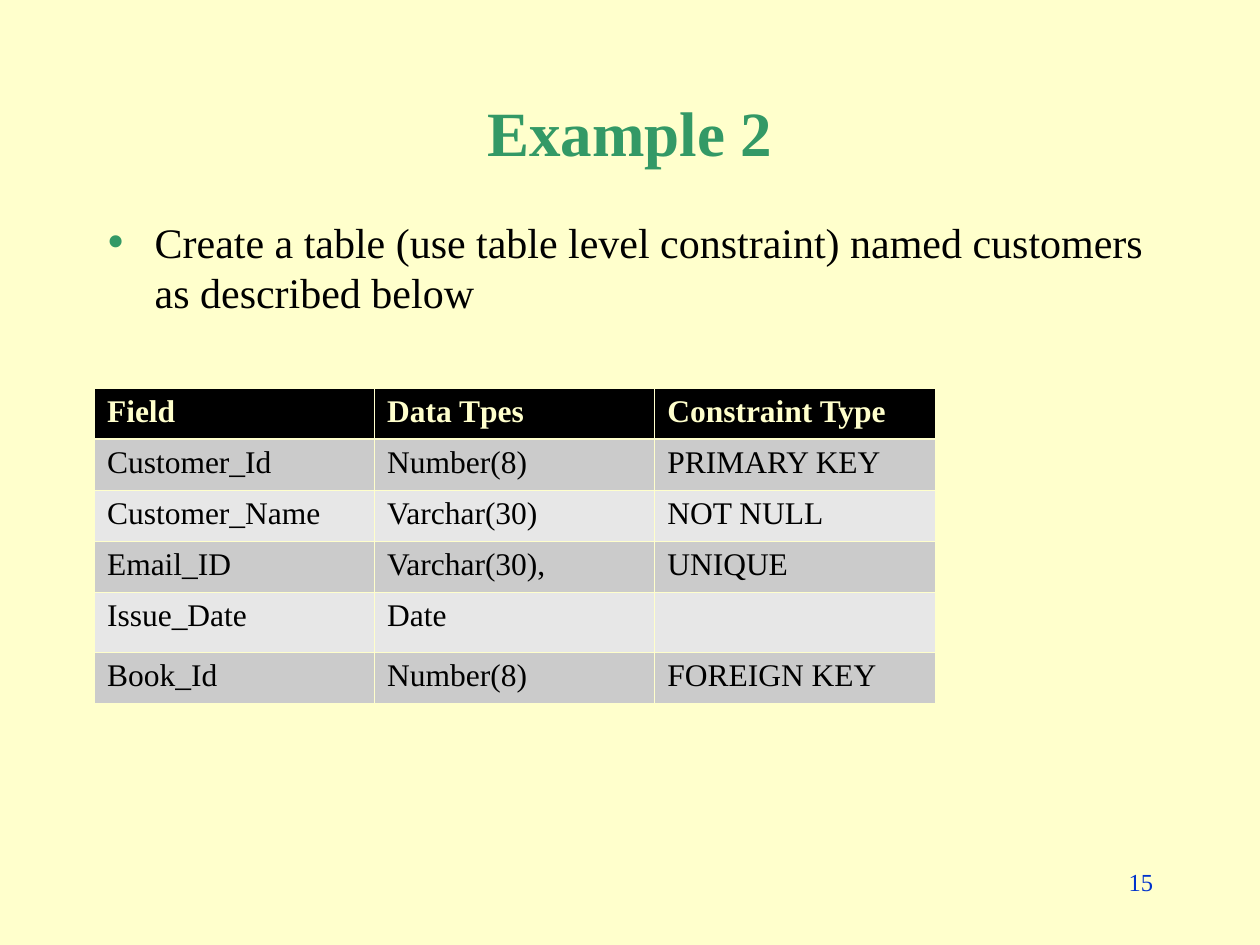
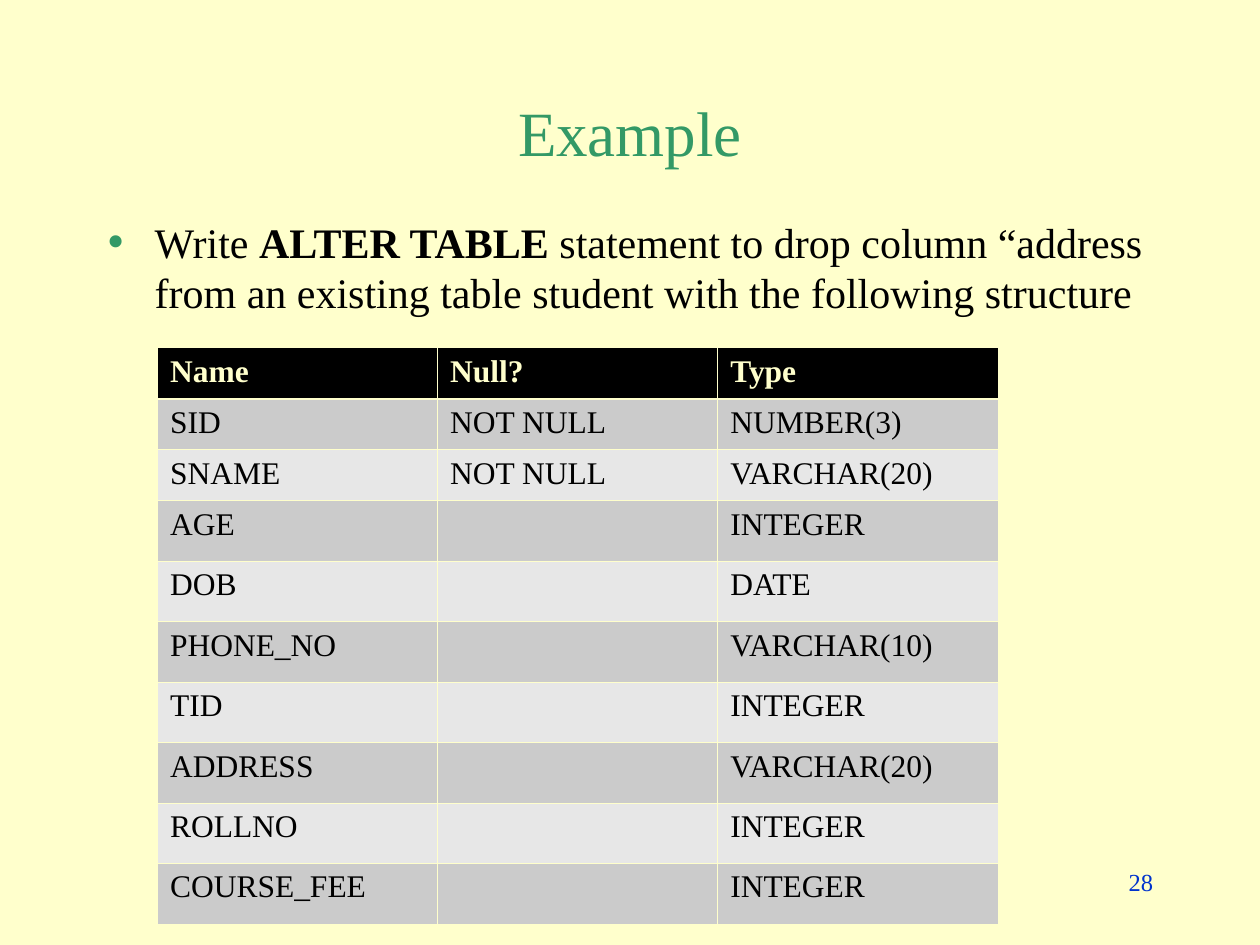
from dataclasses import dataclass

from lxml.etree import SubElement
from pptx import Presentation
from pptx.dml.color import RGBColor as Rgb
from pptx.enum.text import MSO_ANCHOR as Anchor, PP_ALIGN as Align
from pptx.oxml.ns import qn
from pptx.util import Inches, Pt


@dataclass(frozen=True)
class Theme:
    face: str = "Times New Roman"
    paper: str = "FFFFCC"
    accent: str = "339966"
    ink: str = "000000"
    number: str = "0033CC"
    bands: tuple = ("E7E7E7", "CBCBCB")
    title_size: int = 36
    body_size: int = 24
    cell_size: int = 18
    number_size: int = 14
    thin_line: float = 0.45
    header_line: float = 1.47


THEME = Theme()
TITLE_BOX = (0.75, 0.67, 8.5, 0.75)
BODY_BOX = (0.75, 1.67, 8.5, 5)
NUMBER_BOX = (7.17, 6.83, 2.08, 0.5)
TABLE_WIDTH = 6.67
ROW_HEIGHT = 0.405
OPEN_ROW_HEIGHT = 0.48

PAGES = [
    {
        "title": "Example 2",
        "title_bold": True,
        "task": [("Create a table (use table level constraint) named customers "
                  "as described below", False)],
        "number": "15",
        "table_corner": (0.75, 3.08),
        "rows": [
            ("Field", "Data Tpes", "Constraint Type"),
            ("Customer_Id", "Number(8)", "PRIMARY KEY"),
            ("Customer_Name", "Varchar(30)", "NOT NULL"),
            ("Email_ID", "Varchar(30),", "UNIQUE"),
            ("Issue_Date", "Date", ""),
            ("Book_Id", "Number(8)", "FOREIGN KEY"),
        ],
    },
    {
        "title": "Example",
        "title_bold": False,
        "task": [
            ("Write ", False),
            ("ALTER TABLE", True),
            (" statement to drop column “address from an existing table "
             "student with the following structure", False),
        ],
        "number": "28",
        "table_corner": (1.25, 2.76),
        "rows": [
            ("Name", "Null?", "Type"),
            ("SID", "NOT NULL", "NUMBER(3)"),
            ("SNAME", "NOT NULL", "VARCHAR(20)"),
            ("AGE", "", "INTEGER"),
            ("DOB", "", "DATE"),
            ("PHONE_NO", "", "VARCHAR(10)"),
            ("TID", "", "INTEGER"),
            ("ADDRESS", "", "VARCHAR(20)"),
            ("ROLLNO", "", "INTEGER"),
            ("COURSE_FEE", "", "INTEGER"),
        ],
    },
]


def set_values(target, values):
    for name, value in values.items():
        setattr(target, name, value)


def add_span(para, text, size, color, bold=False):
    span = para.add_run()
    span.text = text
    set_values(span.font, {"name": THEME.face, "size": Pt(size), "bold": bold})
    span.font.color.rgb = Rgb.from_string(color)


def add_text_box(page, box):
    frame = page.shapes.add_textbox(*map(Inches, box)).text_frame
    frame.word_wrap = True
    return frame.paragraphs[0]


def add_bullet(para):
    props = para._p.get_or_add_pPr()
    props.set("marL", str(Inches(0.38)))
    props.set("indent", str(-Inches(0.38)))
    color = SubElement(props, qn("a:buClr"))
    SubElement(color, qn("a:srgbClr"), val=THEME.accent)
    SubElement(props, qn("a:buSzPct"), val="120000")
    SubElement(props, qn("a:buFont"), typeface=THEME.face)
    SubElement(props, qn("a:buChar"), char="•")


def add_border(cell, side, width):
    line = SubElement(cell._tc.get_or_add_tcPr(), qn(f"a:ln{side}"), w=str(Pt(width)))
    fill = SubElement(line, qn("a:solidFill"))
    SubElement(fill, qn("a:srgbClr"), val=THEME.paper)


def draw_title(page, box, text, bold):
    title = page.shapes.title
    left, top, width, height = map(Inches, box)
    set_values(title, {"left": left, "top": top, "width": width, "height": height})
    title.text_frame.vertical_anchor = Anchor.MIDDLE
    para = title.text_frame.paragraphs[0]
    para.alignment = Align.CENTER
    add_span(para, text, THEME.title_size, THEME.accent, bold)


def draw_task(page, box, spans):
    para = add_text_box(page, box)
    add_bullet(para)
    for text, bold in spans:
        add_span(para, text, THEME.body_size, THEME.ink, bold)


def draw_number(page, box, text):
    para = add_text_box(page, box)
    para.alignment = Align.RIGHT
    add_span(para, text, THEME.number_size, THEME.number)


def draw_cell(cell, text, row_index):
    is_header = row_index == 0
    top = THEME.header_line if row_index == 1 else THEME.thin_line
    bottom = THEME.header_line if is_header else THEME.thin_line
    borders = {"L": THEME.thin_line, "R": THEME.thin_line, "T": top, "B": bottom}
    for side, width in borders.items():
        add_border(cell, side, width)
    cell.fill.solid()
    band = THEME.ink if is_header else THEME.bands[row_index % 2]
    cell.fill.fore_color.rgb = Rgb.from_string(band)
    if text:
        color = THEME.paper if is_header else THEME.ink
        add_span(cell.text_frame.paragraphs[0], text, THEME.cell_size, color, is_header)


def draw_table(page, corner, rows):
    heights = [ROW_HEIGHT if all(row) else OPEN_ROW_HEIGHT for row in rows]
    box = (*corner, TABLE_WIDTH, sum(heights))
    table = page.shapes.add_table(len(rows), len(rows[0]), *map(Inches, box)).table
    for row_index, (row, height) in enumerate(zip(rows, heights)):
        table.rows[row_index].height = Inches(height)
        for column_index, text in enumerate(row):
            draw_cell(table.cell(row_index, column_index), text, row_index)


def draw_page(deck, content):
    page = deck.slides.add_slide(deck.slide_layouts[5])
    draw_title(page, TITLE_BOX, content["title"], content["title_bold"])
    draw_task(page, BODY_BOX, content["task"])
    draw_number(page, NUMBER_BOX, content["number"])
    draw_table(page, content["table_corner"], content["rows"])


def main():
    deck = Presentation()
    set_values(deck, {"slide_width": Inches(10), "slide_height": Inches(7.5)})
    paper = deck.slide_master.background.fill
    paper.solid()
    paper.fore_color.rgb = Rgb.from_string(THEME.paper)
    for content in PAGES:
        draw_page(deck, content)
    deck.save("out.pptx")


if __name__ == "__main__":
    main()
